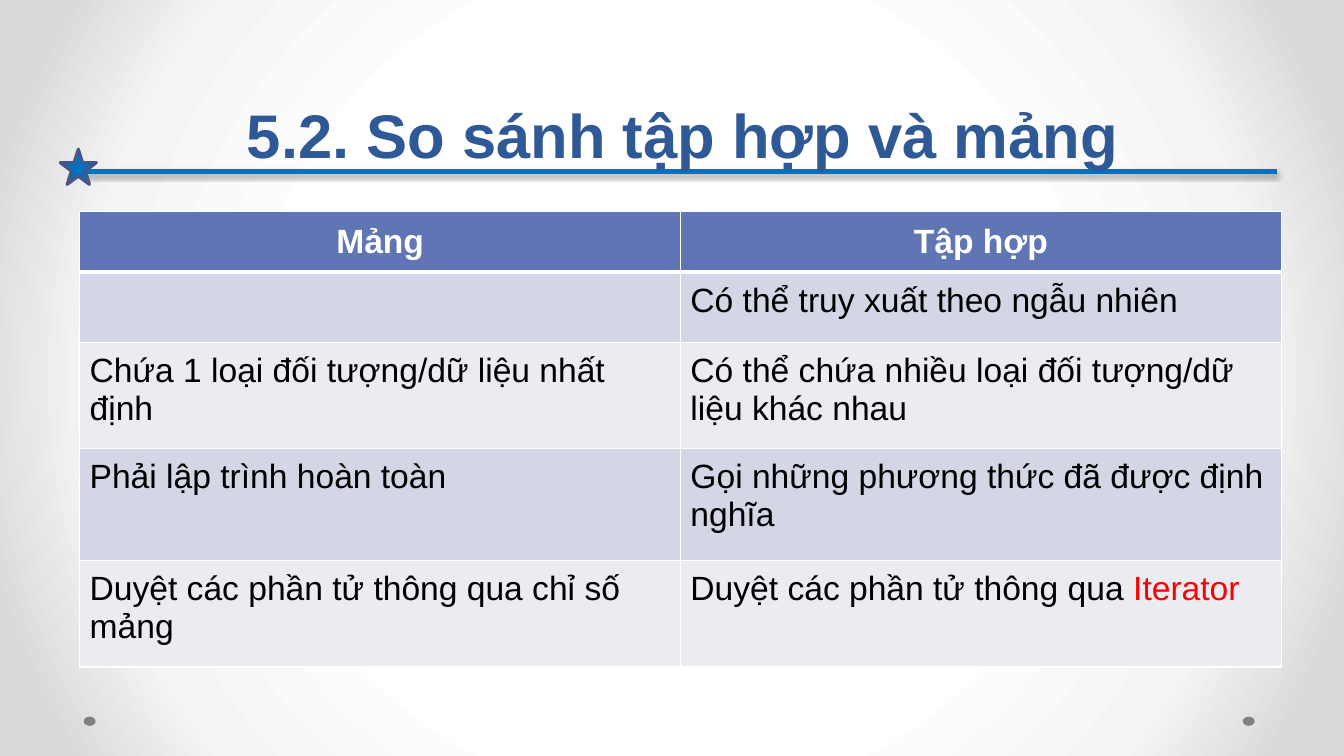
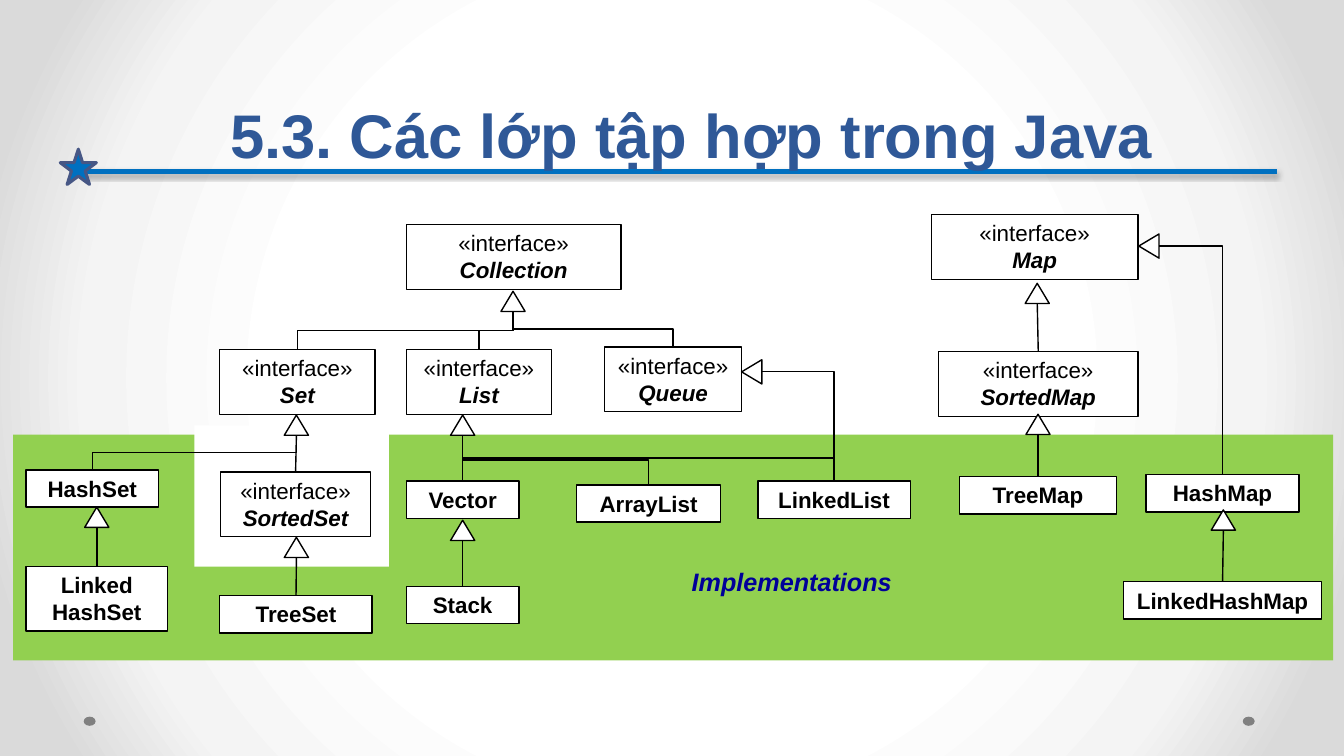
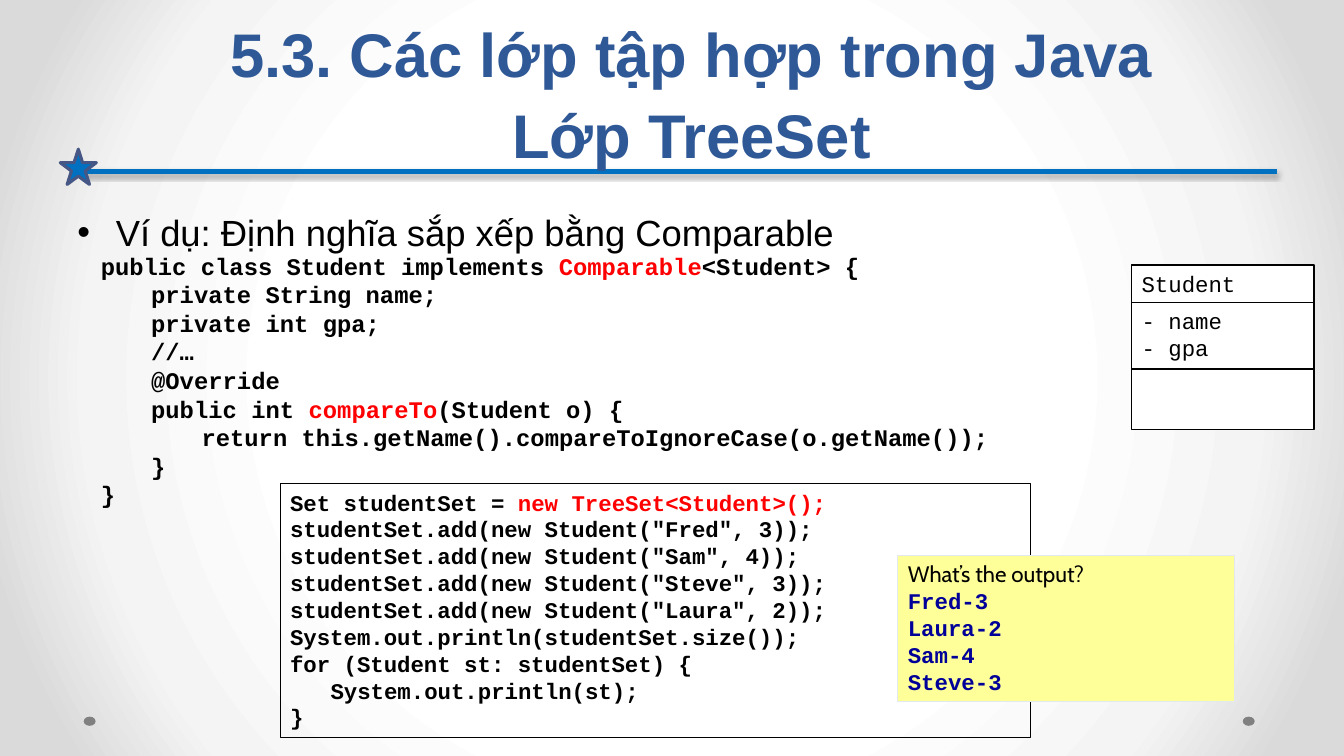
from dataclasses import dataclass, field
from typing import Any, NamedTuple, Optional

from pptx import Presentation
from pptx.dml.color import RGBColor
from pptx.enum.shapes import MSO_CONNECTOR as Link, MSO_SHAPE as Geo
from pptx.enum.text import MSO_ANCHOR as Anchor, PP_ALIGN as Align
from pptx.oxml import parse_xml
from pptx.oxml.ns import nsdecls, qn
from pptx.shapes.autoshape import Shape
from pptx.shapes.connector import Connector
from pptx.slide import Slide, SlideMaster
from pptx.util import Cm, Pt

BLACK = RGBColor(0x00, 0x00, 0x00)
WHITE = RGBColor(0xFF, 0xFF, 0xFF)
RED = RGBColor(0xFF, 0x00, 0x00)
NAVY = RGBColor(0x00, 0x00, 0x99)
TITLE = RGBColor(0x2F, 0x58, 0x97)
BLUE = RGBColor(0x00, 0x70, 0xC0)
EDGE = RGBColor(0x47, 0x57, 0x85)
GRAY = RGBColor(0x80, 0x80, 0x80)
HEAD = RGBColor(0x60, 0x76, 0xB4)
DARK = RGBColor(0xD2, 0xD6, 0xE5)
PALE = RGBColor(0xEA, 0xEC, 0xF2)
GREEN = RGBColor(0x92, 0xD0, 0x50)
YELLOW = RGBColor(0xFF, 0xFF, 0x99)
MIST = RGBColor(0xE4, 0xE9, 0xEF)

BIG = dict(name="Arial", size=Pt(44), bold=True)
CELL = dict(name="Arial", size=Pt(24), bold=False)
POINT = dict(name="Arial", size=Pt(26))
LABEL = dict(name="Arial", size=Pt(16))
NOTE = dict(name="Arial", size=Pt(18), bold=True, italic=True)
CODE = dict(name="Courier New", size=Pt(16), bold=True)
FIELD = CODE | dict(bold=False)
STRONG = dict(bold=True)
NAME = dict(bold=True, italic=True)

CENTER = dict(alignment=Align.CENTER)
TIGHT = dict(margin_left=0, margin_right=0)
PAD = {f"margin_{side}": Cm(0.25) for side in ("left", "right", "top", "bottom")}

TIP_W, TIP_H = 0.61, 0.51


class Run(NamedTuple):
    text: str
    ink: RGBColor = BLACK
    look: dict[str, Any] = {}


class Line(NamedTuple):
    runs: tuple[Run, ...]
    depth: int = 0


class Area(NamedTuple):
    """Left, top, width and height in centimetres."""
    x: float
    y: float
    w: float
    h: float

    def emu(self) -> list[int]:
        return [Cm(n) for n in self]


@dataclass
class Node:
    """A class box; an interface carries a stereotype above its name."""
    name: str
    x: float
    y: float
    w: float
    face: bool = False

    def lines(self) -> list[Line]:
        if self.face:
            return [row("«interface»"), row(Run(self.name, look=NAME))]
        return [row(Run(part, look=STRONG)) for part in self.name.split("\n")]

    def area(self) -> Area:
        return Area(self.x, self.y, self.w, 1.63 if len(self.lines()) > 1 else 0.94)

    def mid(self) -> float:
        return self.x + self.w / 2


@dataclass
class Tip:
    """An inheritance triangle, by its apex, and the boxes that lead to it."""
    x: float
    y: float
    kids: list[str] = field(default_factory=list)
    side: bool = False


NODES = [
    Node("Collection", 10.24, 5.66, 5.41, True),
    Node("Set", 5.54, 8.81, 3.91, True),
    Node("List", 10.24, 8.81, 3.66, True),
    Node("Queue", 15.24, 8.74, 3.45, True),
    Node("SortedSet", 5.56, 11.89, 3.78, True),
    Node("Map", 23.47, 5.41, 5.21, True),
    Node("SortedMap", 23.65, 8.86, 5.03, True),
    Node("TreeSet", 5.54, 15.01, 3.84),
    Node("HashSet", 0.66, 11.84, 3.33),
    Node("Linked\nHashSet", 0.66, 14.27, 3.56),
    Node("Vector", 10.24, 12.12, 2.84),
    Node("ArrayList", 14.53, 12.22, 3.63),
    Node("LinkedList", 19.1, 12.12, 3.84),
    Node("TreeMap", 24.18, 12.01, 3.96),
    Node("HashMap", 28.88, 11.96, 3.86),
    Node("Stack", 10.24, 14.78, 2.84),
    Node("LinkedHashMap", 28.32, 14.66, 4.98),
]

TIPS = [
    Tip(12.93, 7.34, ["Set", "List", "Queue"]),
    Tip(26.14, 7.14, ["SortedMap"]),
    Tip(7.47, 10.46, ["SortedSet", "HashSet"]),
    Tip(11.66, 10.46, ["Vector", "ArrayList", "LinkedList"]),
    Tip(2.44, 12.78, ["Linked\nHashSet"]),
    Tip(7.47, 13.54, ["TreeSet"]),
    Tip(26.16, 10.44, ["TreeMap"]),
    Tip(11.66, 13.11, ["Stack"]),
    Tip(30.83, 12.85, ["LinkedHashMap"]),
    Tip(18.69, 9.37, ["LinkedList"], side=True),
    Tip(28.7, 6.2, ["HashMap"], side=True),
]


def row(*bits: str | Run, depth: int = 0, ink: RGBColor = BLACK) -> Line:
    """A line of text; plain strings take the given ink."""
    return Line(tuple(Run(b, ink) if isinstance(b, str) else b for b in bits), depth)


def style(item: Any, values: dict[str, Any]) -> None:
    for key, value in values.items():
        setattr(item, key, value)


def write(frame: Any, lines: list[Line], look: dict[str, Any],
          para: Optional[dict[str, Any]] = None, step: float = 0) -> None:
    """Fill a text frame; step is the indent of one depth in centimetres."""
    for i, line in enumerate(lines):
        p = frame.paragraphs[0] if i == 0 else frame.add_paragraph()
        style(p, dict(alignment=Align.LEFT) | (para or {}))
        if line.depth:
            p._p.get_or_add_pPr().set("marL", str(Cm(step * line.depth)))
        for bit in line.runs:
            run = p.add_run()
            run.text = bit.text
            style(run.font, look | bit.look)
            run.font.color.rgb = bit.ink


def shape(slide: Slide, geo: Geo, area: Area, fill: Optional[RGBColor] = None,
          edge: Optional[RGBColor] = None, width: float = 1) -> Shape:
    item = slide.shapes.add_shape(geo, *area.emu())
    item.shadow.inherit = False
    if fill is None:
        item.fill.background()
    else:
        item.fill.solid()
        item.fill.fore_color.rgb = fill
    if edge is None:
        item.line.fill.background()
    else:
        item.line.color.rgb = edge
        item.line.width = Pt(width)
    style(item.text_frame, dict(word_wrap=True, vertical_anchor=Anchor.TOP))
    return item


def text(slide: Slide, area: Area, lines: list[Line], look: dict[str, Any],
         para: Optional[dict[str, Any]] = None, step: float = 0,
         anchor: Anchor = Anchor.TOP, wrap: bool = True) -> Shape:
    item = slide.shapes.add_textbox(*area.emu())
    style(item.text_frame, dict(word_wrap=wrap, vertical_anchor=anchor))
    write(item.text_frame, lines, look, para, step)
    return item


def link(slide: Slide, kind: Link, ends: tuple[float, ...], ink: RGBColor = BLACK,
         width: float = 1) -> Connector:
    item = slide.shapes.add_connector(kind, *[Cm(n) for n in ends])
    item.line.color.rgb = ink
    item.line.width = Pt(width)
    item._element.spPr.append(parse_xml(f"<a:effectLst {nsdecls('a')}/>"))
    return item


def elbow(slide: Slide, x1: float, y1: float, x2: float, y2: float,
          corner: bool = False) -> None:
    """A bent line that leaves upwards: a quarter turn of the usual elbow."""
    mx, my = (x1 + x2) / 2, (y1 + y2) / 2
    dx, dy = (x2 - x1) / 2, (y1 - y2) / 2
    item = link(slide, Link.ELBOW, (mx - dy, my - dx, mx + dy, my + dx))
    props = item._element.spPr
    props.find(qn("a:xfrm")).set("rot", "16200000")
    if corner:
        props.find(qn("a:prstGeom")).set("prst", "bentConnector2")


def backdrop(master: SlideMaster) -> None:
    """Round gradient behind every slide."""
    master.background.fill.gradient()
    old = master.element.find(".//" + qn("a:gradFill"))
    stops = "".join(
        f'<a:gs pos="{at * 1000}"><a:srgbClr val="{ink}"/></a:gs>'
        for at, ink in ((50, "FFFFFF"), (76, "F4F4F4"), (92, "DADADA")))
    new = parse_xml(
        f'<a:gradFill {nsdecls("a")} rotWithShape="1"><a:gsLst>{stops}</a:gsLst>'
        '<a:path path="circle"><a:fillToRect l="50000" t="50000" r="50000" b="50000"/>'
        "</a:path></a:gradFill>")
    old.getparent().replace(old, new)


def start(deck: Any, *title: str) -> Slide:
    """A new slide with the shared rule, star, dots and title."""
    slide = deck.slides.add_slide(deck.slide_layouts[6])
    for x in (31.32, 2.11):
        shape(slide, Geo.OVAL, Area(x, 18.06, 0.3, 0.23), GRAY)
    rule = link(slide, Link.STRAIGHT, (2.13, 4.32, 32.18, 4.32), BLUE, 4)
    rule._element.spPr.find(qn("a:effectLst")).append(parse_xml(
        f'<a:outerShdw {nsdecls("a")} blurRad="{Pt(3.1)}" dist="{Pt(1.8)}" dir="5400000">'
        '<a:srgbClr val="000000"><a:alpha val="35000"/></a:srgbClr></a:outerShdw>'))
    shape(slide, Geo.STAR_5_POINT, Area(1.52, 3.76, 0.91, 0.89), BLUE, EDGE, 2.25)
    text(slide, Area(2.74, 0.48, 29.39, 3.96), [row(t, ink=TITLE) for t in title], BIG,
         CENTER | dict(line_spacing=Pt(58)), anchor=Anchor.BOTTOM)
    return slide


def border(cell: Any, base: float) -> None:
    """White cell edges; base is the width of the lower one."""
    props = cell._tc.get_or_add_tcPr()
    for side, width in (("L", 1), ("R", 1), ("T", 1), ("B", base)):
        props.append(parse_xml(
            f'<a:ln{side} {nsdecls("a")} w="{Pt(width)}"><a:solidFill>'
            f'<a:srgbClr val="{WHITE}"/></a:solidFill></a:ln{side}>'))


def compare(deck: Any) -> None:
    slide = start(deck, "5.2. So sánh tập hợp và mảng ")
    rows = [
        (row("Mảng", ink=WHITE), row("Tập hợp", ink=WHITE)),
        (row(), row("Có thể truy xuất theo ngẫu nhiên")),
        (row("Chứa 1 loại đối tượng/dữ liệu nhất định"),
         row("Có thể chứa nhiều loại đối tượng/dữ liệu khác nhau")),
        (row("Phải lập trình hoàn toàn"),
         row("Gọi những phương thức đã được định nghĩa")),
        (row("Duyệt các phần tử thông qua chỉ số mảng"),
         row("Duyệt các phần tử thông qua ", Run("Iterator", RED))),
    ]
    tall = (1.46, 1.78, 2.67, 2.82, 2.69)
    area = Area(2.01, 5.33, 30.28, sum(tall))
    grid = slide.shapes.add_table(len(rows), 2, *area.emu()).table
    for r, (pair, high) in enumerate(zip(rows, tall)):
        grid.rows[r].height = Cm(high)
        top = r == 0
        for c, line in enumerate(pair):
            cell = grid.cell(r, c)
            style(cell, PAD | dict(vertical_anchor=Anchor.MIDDLE if top else Anchor.TOP))
            border(cell, 3 if r == 0 else 1)
            cell.fill.solid()
            cell.fill.fore_color.rgb = HEAD if top else DARK if r % 2 else PALE
            write(cell.text_frame, [line], CELL | dict(bold=top), CENTER if top else None)


def classes(deck: Any) -> None:
    slide = start(deck, "5.3. Các lớp tập hợp trong Java")
    shape(slide, Geo.RECTANGLE, Area(0.33, 10.95, 33.27, 5.69), GREEN)
    shape(slide, Geo.RECTANGLE, Area(4.9, 10.72, 4.9, 3.56), WHITE)
    text(slide, Area(17.15, 14.15, 5.61, 1.02), [row("Implementations", ink=NAVY)],
         NOTE, CENTER, wrap=False)
    boxes = {}
    for node in NODES:
        box = shape(slide, Geo.RECTANGLE, node.area(), WHITE, BLACK)
        style(box.text_frame, TIGHT)
        write(box.text_frame, node.lines(), LABEL, CENTER)
        boxes[node.name] = (node, box)
    for tip in TIPS:
        half = TIP_H / 2
        mx, my = (tip.x + half, tip.y) if tip.side else (tip.x, tip.y + half)
        mark = shape(slide, Geo.ISOSCELES_TRIANGLE,
                     Area(mx - TIP_W / 2, my - half, TIP_W, TIP_H), WHITE, BLACK)
        mark.rotation = 270 if tip.side else 0
        ex, ey = (tip.x + TIP_H, tip.y) if tip.side else (tip.x, tip.y + TIP_H)
        for kid in tip.kids:
            node, box = boxes[kid]
            ends = (node.mid(), node.y, ex, ey)
            if abs(node.mid() - ex) < 0.1:
                link(slide, Link.STRAIGHT, ends).begin_connect(box, 0)
            else:
                elbow(slide, *ends, corner=tip.side)


def sample(deck: Any) -> None:
    slide = start(deck, "5.3. Các lớp tập hợp trong Java", "Lớp TreeSet")
    point = text(slide, Area(1.7, 5.16, 30.48, 12.85),
                 [row("Ví dụ: Định nghĩa sắp xếp bằng Comparable", depth=1)],
                 POINT, dict(space_before=Pt(3)), step=0.97)
    props = point.text_frame.paragraphs[0]._p.get_or_add_pPr()
    props.set("indent", str(-Cm(0.97)))
    props.append(parse_xml(f'<a:buFont {nsdecls("a")} typeface="Arial"/>'))
    props.append(parse_xml(f'<a:buChar {nsdecls("a")} char="•"/>'))

    pupils = (("Fred", 3), ("Sam", 4), ("Steve", 3), ("Laura", 2))
    usage = shape(slide, Geo.RECTANGLE, Area(7.06, 12.19, 18.9, 6.4), None, BLACK, 0.75)
    write(usage.text_frame, [
        row("Set studentSet = ", Run("new TreeSet<Student>();", RED)),
        *[row(f'studentSet.add(new Student("{who}", {gpa}));') for who, gpa in pupils],
        row("System.out.println(studentSet.size());"),
        row("for (Student st: studentSet) {"),
        row("System.out.println(st);", depth=1),
        row("}"),
    ], CODE, step=1.02)
    text(slide, Area(2.29, 6.17, 24.59, 6.81), [
        row("public class Student implements ", Run("Comparable", RED), "<Student> {"),
        row("private String name;", depth=1),
        row("private int gpa;", depth=1),
        row("//…", depth=1),
        row("@Override", depth=1),
        row("public int ", Run("compareTo", RED), "(Student o) {", depth=1),
        row("return this.getName().compareToIgnoreCase(o.getName());", depth=2),
        row("}", depth=1),
        row("}"),
    ], CODE | dict(size=Pt(17)), step=1.27, anchor=Anchor.MIDDLE)

    for y, h, parts in ((6.68, 0.99, ["Student"]), (8.99, 1.83, []),
                        (7.62, 1.68, ["- name", "- gpa"])):
        part = shape(slide, Geo.RECTANGLE, Area(28.52, y, 4.6, h), WHITE, BLACK)
        write(part.text_frame, [row(t) for t in parts], FIELD)

    result = shape(slide, Geo.RECTANGLE, Area(22.63, 14, 8.48, 3.68), YELLOW, MIST, 0.75)
    write(result.text_frame, [
        row(Run("What’s the output?", look=dict(name="Cabin", bold=False))),
        *[row(f"{who}-{gpa}", ink=NAVY) for who, gpa in sorted(pupils)],
    ], CODE)


def main() -> None:
    deck = Presentation()
    style(deck, dict(slide_width=Cm(33.87), slide_height=Cm(19.05)))
    backdrop(deck.slide_master)
    for build in (compare, classes, sample):
        build(deck)
    deck.save("out.pptx")


if __name__ == "__main__":
    main()
